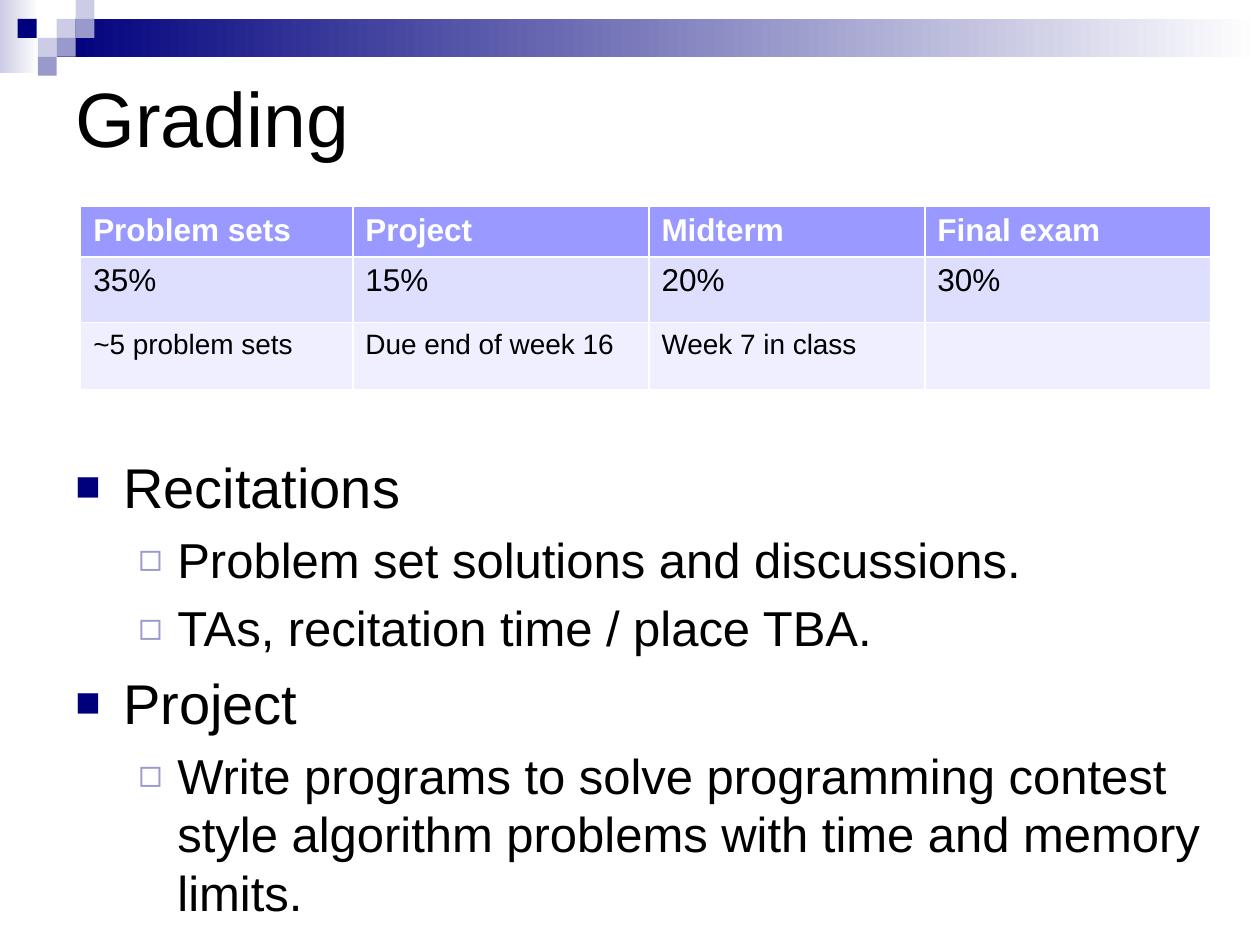
from lxml import etree
from pptx import Presentation
from pptx.dml.color import RGBColor
from pptx.enum import shapes, text
from pptx.oxml import ns
from pptx.util import Inches, Pt

NAVY = RGBColor(0x00, 0x00, 0x7D)
MID = RGBColor(0x99, 0x99, 0xCC)
PALE = RGBColor(0xCC, 0xCC, 0xE6)
WHITE = RGBColor(0xFF, 0xFF, 0xFF)
BLACK = RGBColor(0x00, 0x00, 0x00)
HEAD = RGBColor(0x99, 0x99, 0xFF)
ROW1 = RGBColor(0xDE, 0xDE, 0xFF)
ROW2 = RGBColor(0xEF, 0xEF, 0xFF)

deck = Presentation()
deck.slide_width, deck.slide_height = Inches(10), Inches(7.5)
page = deck.slides.add_slide(deck.slide_layouts[6])


def write(para, words, size, color=BLACK, bold=False):
    run = para.add_run()
    run.text = words
    look = {"name": "Arial", "size": Pt(size), "bold": bold}
    for key, val in look.items():
        setattr(run.font, key, val)
    run.font.color.rgb = color


def block(x, y, w, h, color, fade=False):
    box = page.shapes.add_shape(shapes.MSO_SHAPE.RECTANGLE,
                                Inches(x), Inches(y), Inches(w), Inches(h))
    box.shadow.inherit = False
    box.line.fill.background()
    if fade:
        box.fill.gradient()
        box.fill.gradient_angle = 0
        for stop, tone in zip(box.fill.gradient_stops, (color, WHITE)):
            stop.color.rgb = tone
    else:
        box.fill.solid()
        box.fill.fore_color.rgb = color


# Header bands and mosaic of small squares
block(0, 0, 0.31, 0.58, PALE, fade=True)
block(0.45, 0.15, 9.55, 0.3, NAVY, fade=True)
SIDE = 0.15
for x, row, color in [(0.45, 1, PALE), (0.6, 0, PALE), (0.6, 1, MID),
                      (0.3, 2, PALE), (0.14, 1, NAVY), (0.45, 2, MID),
                      (0.3, 3, MID)]:
    block(x, row * SIDE, SIDE, SIDE, color)

# Title
title = page.shapes.add_textbox(Inches(0.5), Inches(0.5), Inches(9), Inches(0.86)).text_frame
title.word_wrap = True
title.vertical_anchor = text.MSO_ANCHOR.MIDDLE
write(title.paragraphs[0], "Grading", 44)

# Bulleted body
body = page.shapes.add_textbox(Inches(0.5), Inches(3.54), Inches(9.16), Inches(3.81)).text_frame
body.word_wrap = True
levels = [  # left margin, hang, size, bullet, bullet colour, bullet percent
    (0.38, 0.38, 32, "■", NAVY, 75),
    (0.81, 0.31, 28, "◻", MID, 80),
]
points = [
    (0, "Recitations"),
    (1, "Problem set solutions and discussions."),
    (1, "TAs, recitation time / place TBA."),
    (0, "Project"),
    (1, "Write programs to solve programming contest style algorithm "
        "problems with time and memory limits."),
]
for num, (level, words) in enumerate(points):
    left, hang, size, mark, color, scale = levels[level]
    para = body.add_paragraph() if num else body.paragraphs[0]
    para.level = level
    props = para._p.get_or_add_pPr()
    props.set("marL", str(Inches(left)))
    props.set("indent", str(-Inches(hang)))
    for outer, inner, val in [("spcBef", "spcPct", "20000"),
                              ("buClr", "srgbClr", str(color))]:
        node = etree.SubElement(props, ns.qn("a:" + outer))
        etree.SubElement(node, ns.qn("a:" + inner)).set("val", val)
    for tag, key, val in [("buSzPct", "val", str(scale * 1000)),
                          ("buFont", "typeface", "Arial"),
                          ("buChar", "char", mark)]:
        etree.SubElement(props, ns.qn("a:" + tag)).set(key, val)
    write(para, words, size)

# Grading table; the default style supplies the white rules
rows = [  # height, fill, size, text colour, bold, cells
    (0.34, HEAD, 18, WHITE, True, ["Problem sets", "Project", "Midterm", "Final exam"]),
    (0.52, ROW1, 18, BLACK, False, ["35%", "15%", "20%", "30%"]),
    (0.53, ROW2, 16, BLACK, False,
     ["~5 problem sets", "Due end of week 16", "Week 7 in class", ""]),
]
widths = [2.16, 2.35, 2.19, 2.27]
grid = page.shapes.add_table(len(rows), len(widths), Inches(0.64), Inches(1.64),
                             Inches(8.97), Inches(1.45)).table
for col, width in zip(grid.columns, widths):
    col.width = Inches(width)
for r, (high, fill, size, color, bold, cells) in enumerate(rows):
    grid.rows[r].height = Inches(high)
    for c, words in enumerate(cells):
        cell = grid.cell(r, c)
        cell.fill.solid()
        cell.fill.fore_color.rgb = fill
        if words:
            write(cell.text_frame.paragraphs[0], words, size, color, bold)

deck.save("out.pptx")
